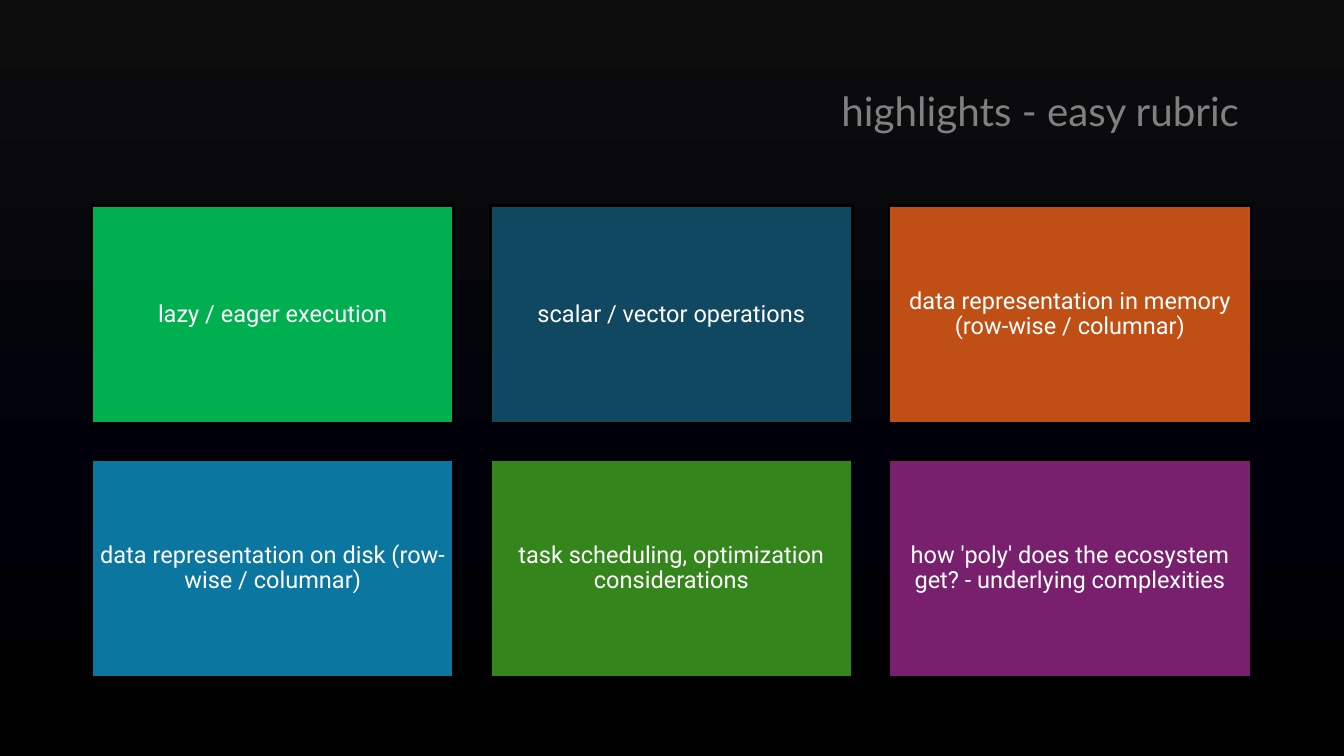
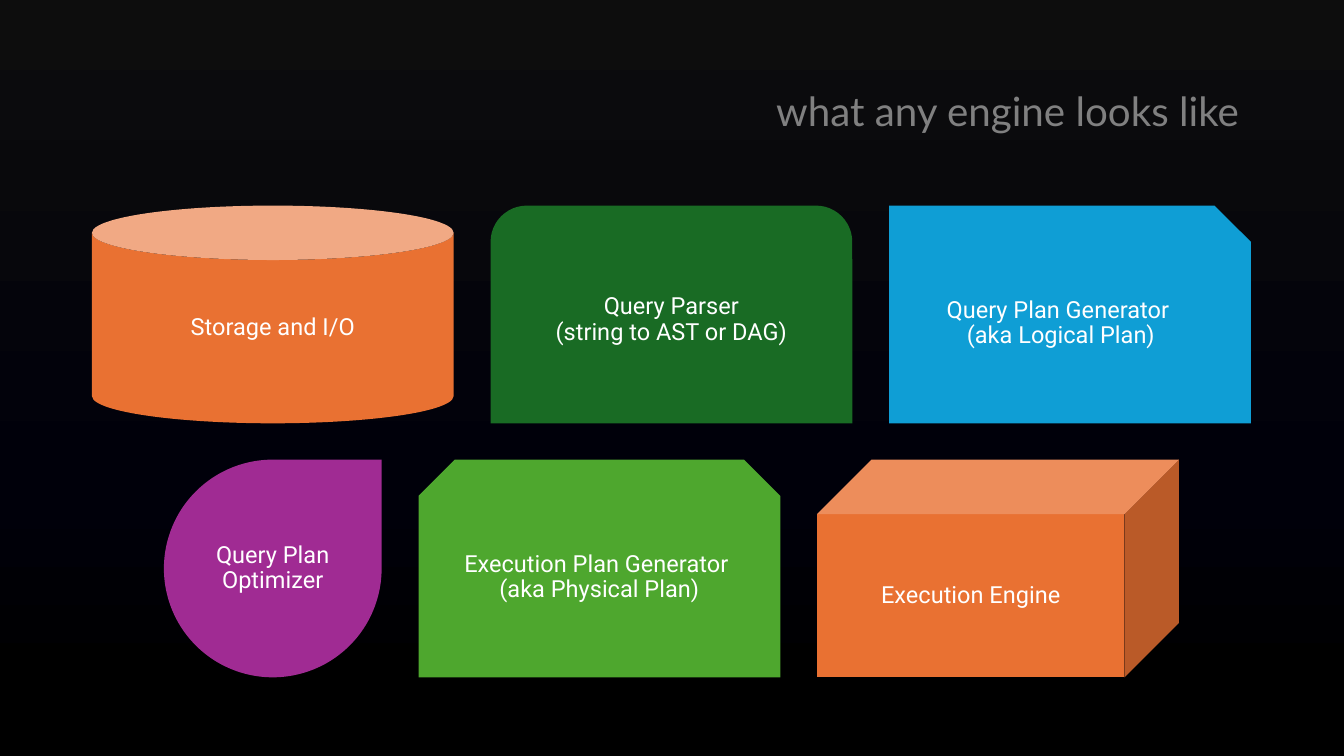
from copy import deepcopy
from dataclasses import dataclass

from pptx import Presentation
from pptx import util as u
from pptx.dml.color import RGBColor
from pptx.enum import shapes, text
from pptx.oxml.ns import qn

SHAPE = shapes.MSO_SHAPE
ALIGN = text.PP_ALIGN


@dataclass(frozen=True)
class Theme:
    # Colours
    backdrop: tuple = ((0, "0D0D0D"), (0.65, "00000A"), (0.9, "000000"))
    title_color: str = "808080"
    label_color: str = "FFFFFF"
    outline: str = "000000"
    # Type
    title_font: str = "Lato"
    label_font: str = "Roboto"
    title_size: int = 24
    label_size: int = 14
    line_spacing: float = 0.9
    # Layout, in inches
    left: float = 0.76
    width: float = 9.58
    rows_top: float = 1.7
    block_width: float = 2.99
    block_height: float = 1.8
    row_step: float = 2.1
    columns: int = 3

    @property
    def gap(self):
        return (self.width - self.columns * self.block_width) / (self.columns - 1)


def apply(target, formats):
    for name, value in formats.items():
        setattr(target, name, value)


class Deck:
    def __init__(self, theme):
        self.theme = theme
        self.slide = None
        self.prs = Presentation()
        apply(self.prs, {"slide_width": u.Inches(11.11), "slide_height": u.Inches(6.25)})
        self.paint_backdrop()

    def paint_backdrop(self):
        """Give every slide the gradient through the master."""
        master = self.prs.slide_master
        fill = master.background.fill
        fill.gradient()
        fill.gradient_angle = 270
        stops = next(master.element.iter(qn("a:gsLst")))
        stops.append(deepcopy(stops[-1]))
        for stop, (position, color) in zip(fill.gradient_stops, self.theme.backdrop):
            stop.position = position
            stop.color.rgb = RGBColor.from_string(color)

    def set_text(self, shape, lines, font, size, color, align):
        frame = shape.text_frame
        apply(frame, {"word_wrap": True, "vertical_anchor": text.MSO_ANCHOR.MIDDLE})
        paragraph = frame.paragraphs[0]
        apply(paragraph, {"alignment": align, "line_spacing": self.theme.line_spacing})
        for index, line in enumerate(lines):
            if index:
                paragraph.add_line_break()
            run = paragraph.add_run()
            run.text = line
            apply(run.font, {"name": font, "size": u.Pt(size)})
            run.font.color.rgb = RGBColor.from_string(color)

    def add_slide(self, title):
        t = self.theme
        self.slide = self.prs.slides.add_slide(self.prs.slide_layouts[6])
        box = self.slide.shapes.add_textbox(
            u.Inches(t.left), u.Inches(0.33), u.Inches(t.width), u.Inches(1.21))
        self.set_text(box, [title], t.title_font, t.title_size, t.title_color, ALIGN.RIGHT)

    def add_block(self, left, top, width, kind, color, lines, outlined):
        t = self.theme
        block = self.slide.shapes.add_shape(
            kind, u.Inches(left), u.Inches(top), u.Inches(width), u.Inches(t.block_height))
        block.shadow.inherit = False
        block.fill.solid()
        block.fill.fore_color.rgb = RGBColor.from_string(color)
        if outlined:
            block.line.color.rgb = RGBColor.from_string(t.outline)
            block.line.width = u.Pt(1.5)
        else:
            block.line.fill.background()
        sides = ("left", "right", "top", "bottom")
        apply(block.text_frame, {f"margin_{side}": u.Inches(0.06) for side in sides})
        self.set_text(block, lines, t.label_font, t.label_size, t.label_color, ALIGN.CENTER)

    def add_rows(self, blocks, outlined=False):
        """Set blocks in rows, each row centred under the title."""
        t = self.theme
        for start in range(0, len(blocks), t.columns):
            row = blocks[start:start + t.columns]
            # A teardrop is as wide as it is high
            widths = [t.block_height if kind == SHAPE.TEAR else t.block_width
                      for kind, _, _ in row]
            row_width = sum(widths) + t.gap * (len(row) - 1)
            left = t.left + (t.width - row_width) / 2
            top = t.rows_top + start // t.columns * t.row_step
            for width, block in zip(widths, row):
                self.add_block(left, top, width, *block, outlined)
                left += width + t.gap


RUBRIC = [
    ("00B050", "lazy / eager execution"),
    ("104862", "scalar / vector operations"),
    ("C04F15", "data representation in memory (row-wise / columnar)"),
    ("0B76A0", "data representation on disk (row-wise / columnar)"),
    ("34861C", "task scheduling, optimization considerations"),
    ("78206E", "how 'poly' does the ecosystem get? - underlying complexities"),
]

ENGINE_PARTS = [
    (SHAPE.CAN, "E97132", ["Storage and I/O"]),
    (SHAPE.ROUND_2_SAME_RECTANGLE, "196B24", ["Query Parser", "(string to AST or DAG)"]),
    (SHAPE.SNIP_1_RECTANGLE, "0F9ED5", ["Query Plan Generator ", "(aka Logical Plan)"]),
    (SHAPE.TEAR, "A02B93", ["Query Plan Optimizer"]),
    (SHAPE.SNIP_2_SAME_RECTANGLE, "4EA72E",
     ["Execution Plan Generator ", "(aka Physical Plan)"]),
    (SHAPE.CUBE, "E97132", ["Execution Engine"]),
]


def main():
    deck = Deck(Theme())

    # Rubric
    deck.add_slide("highlights - easy rubric")
    deck.add_rows([(SHAPE.RECTANGLE, color, [topic]) for color, topic in RUBRIC],
                  outlined=True)

    # Engine parts
    deck.add_slide("what any engine looks like")
    deck.add_rows(ENGINE_PARTS)

    deck.prs.save("out.pptx")


if __name__ == "__main__":
    main()
